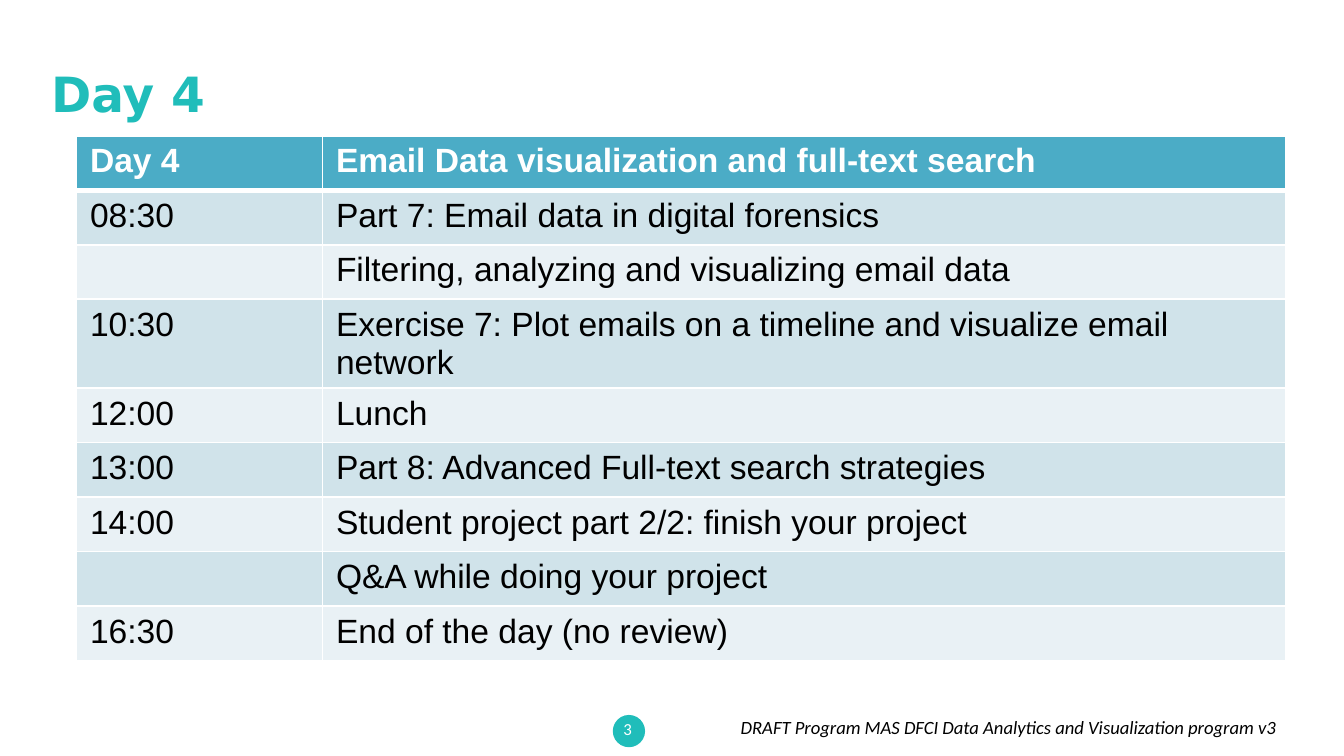
from lxml import etree
from pptx import Presentation
from pptx import util as u
from pptx.dml.color import RGBColor
from pptx.enum import shapes, text
from pptx.oxml import ns

WIDTH = 10
HEIGHT = WIDTH * 9 / 16
TEAL = RGBColor(0x20, 0xBD, 0xBA)
HEADER = RGBColor(0x4B, 0xAC, 0xC6)
BANDS = (RGBColor(0xE9, 0xF1, 0xF5), RGBColor(0xD0, 0xE3, 0xEA))
WHITE = RGBColor(0xFF, 0xFF, 0xFF)
BLACK = RGBColor(0, 0, 0)

SCHEDULE = [
    ("Day 4", "Email Data visualization and full-text search"),
    ("08:30", "Part 7: Email data in digital forensics"),
    ("", "Filtering, analyzing and visualizing email data"),
    ("10:30", "Exercise 7: Plot emails on a timeline and visualize email network"),
    ("12:00", "Lunch"),
    ("13:00", "Part 8: Advanced Full-text search strategies"),
    ("14:00", "Student project part 2/2: finish your project"),
    ("", "Q&A while doing your project"),
    ("16:30", "End of the day (no review)"),
]


class ProgramSlide:
    """Style and current slide, with lengths given as inches on a 10 by 9/16 grid."""

    def __init__(self, deck):
        deck.slide_width, deck.slide_height = u.Inches(WIDTH), u.Inches(HEIGHT)
        self.slide = deck.slides.add_slide(deck.slide_layouts[5])

    def style(self, paragraph, size, face, color, bold=False, italic=False, align=None):
        font = paragraph.font
        font.size, font.name = u.Pt(size), face
        font.bold, font.italic = bold, italic
        font.color.rgb = color
        paragraph.alignment = align

    def title(self, wording, left, top, width, height):
        heading = self.slide.shapes.title
        heading.left, heading.top = u.Inches(left), u.Inches(top)
        heading.width, heading.height = u.Inches(width), u.Inches(height)
        frame = heading.text_frame
        frame.text = wording
        frame.vertical_anchor = text.MSO_ANCHOR.MIDDLE
        self.style(frame.paragraphs[0], 26, "DejaVu Sans", TEAL, bold=True,
                   align=text.PP_ALIGN.LEFT)

    def badge(self, left, top, diameter):
        circle = self.slide.shapes.add_shape(
            shapes.MSO_SHAPE.OVAL, *map(u.Inches, (left, top, diameter, diameter)))
        circle.shadow.inherit = False
        circle.fill.solid()
        circle.fill.fore_color.rgb = TEAL
        circle.line.fill.background()

    def label(self, wording, left, top, width, height, size, color, align,
              italic=False, anchor=text.MSO_ANCHOR.TOP):
        frame = self.slide.shapes.add_textbox(
            *map(u.Inches, (left, top, width, height))).text_frame
        frame.word_wrap = True
        frame.vertical_anchor = anchor
        frame.text = wording
        self.style(frame.paragraphs[0], size, "Calibri", color, italic=italic, align=align)

    def borders(self, cell, **widths):
        properties = cell._tc.get_or_add_tcPr()
        for side, width in widths.items():
            edge = etree.SubElement(properties, ns.qn(f"a:ln{side}"), w=str(u.Pt(width)))
            fill = etree.SubElement(edge, ns.qn("a:solidFill"))
            etree.SubElement(fill, ns.qn("a:srgbClr"), val=str(WHITE))

    def timetable(self, entries, left, top, columns, height):
        grid = self.slide.shapes.add_table(
            len(entries), len(columns),
            *map(u.Inches, (left, top, sum(columns), height))).table
        for column, width in zip(grid.columns, columns):
            column.width = u.Inches(width)
        for row, entry in enumerate(entries):
            is_header = row == 0
            for cell, wording in zip(grid.rows[row].cells, entry):
                cell.text = wording
                cell.margin_bottom = u.Inches(0.01)
                self.borders(cell, L=1, R=1, T=3 if row == 1 else 1, B=3 if is_header else 1)
                cell.fill.solid()
                cell.fill.fore_color.rgb = HEADER if is_header else BANDS[row % 2]
                self.style(cell.text_frame.paragraphs[0], 18, "Arial",
                           WHITE if is_header else BLACK, bold=is_header)


def main():
    deck = Presentation()
    page = ProgramSlide(deck)
    page.badge(4.56, 5.32, 0.24)
    page.label("3", 4.45, 5.27, 0.44, 0.3, 9, WHITE, text.PP_ALIGN.CENTER,
               anchor=text.MSO_ANCHOR.MIDDLE)
    page.timetable(SCHEDULE, 0.57, 1.01, (1.83, 7.17), 3.65)
    page.title("Day 4", 0.28, 0.22, 9, 0.94)
    page.label("DRAFT Program MAS DFCI Data Analytics and Visualization program v3",
               4.86, 5.28, 4.73, 0.3, 10, BLACK, text.PP_ALIGN.RIGHT, italic=True)
    deck.save("out.pptx")


if __name__ == "__main__":
    main()
